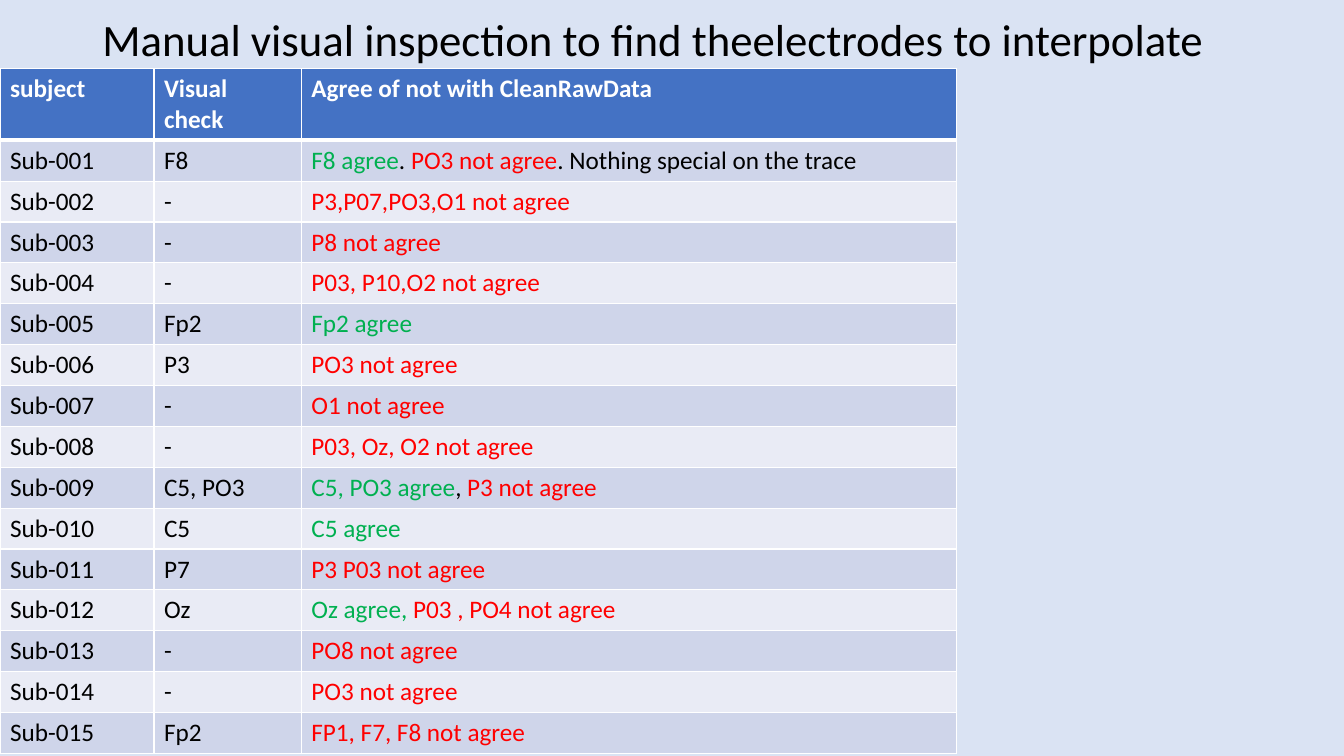
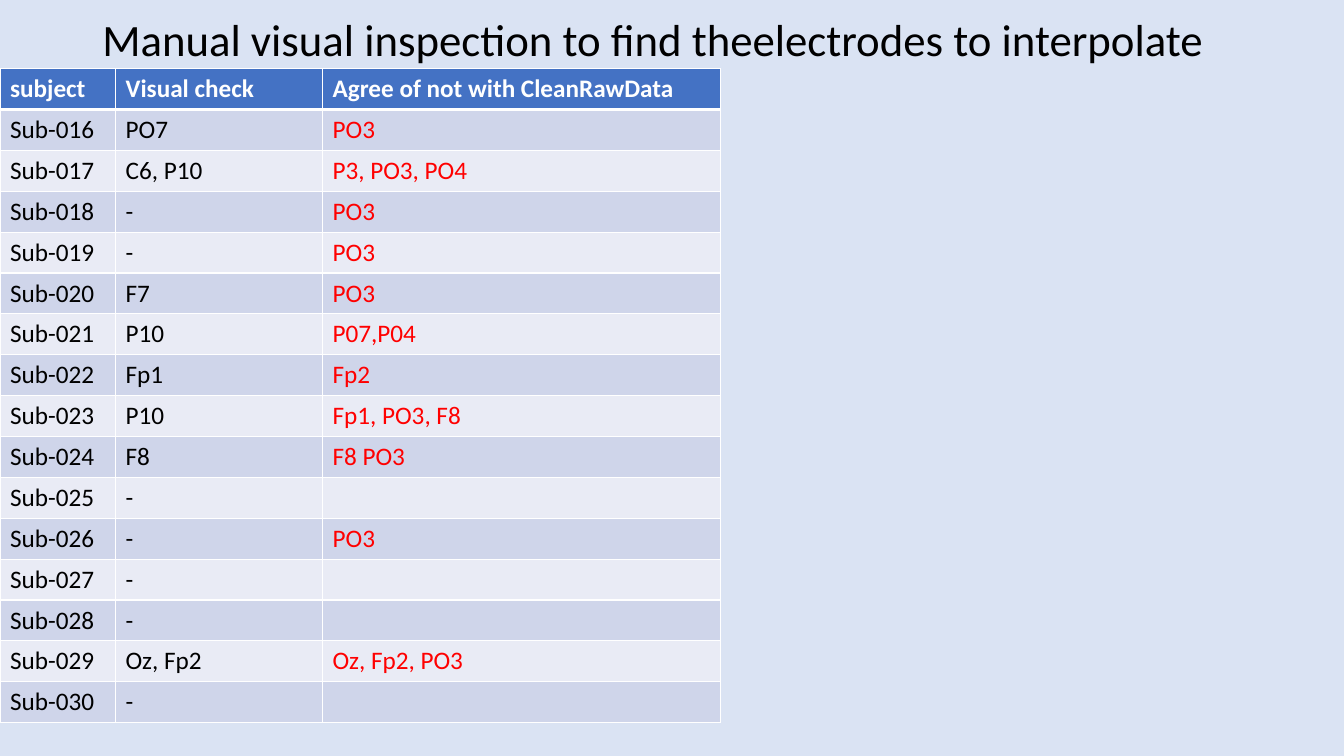
from typing import NamedTuple

from lxml import etree
from pptx import Presentation
from pptx.dml.color import RGBColor
from pptx.enum import text
from pptx.oxml import ns
from pptx.util import Pt

COLORS = {
    "background": "DAE3F3",
    "header": "4472C4",
    "odd_row": "CFD5EA",
    "even_row": "E9EBF5",
    "white": "FFFFFF",
    "plain": "000000",
    "agree": "00B050",
    "differ": "FF0000",
}
FONT = "Calibri"
TITLE = "Manual visual inspection to find theelectrodes to interpolate"
HEADINGS = ("subject", "Visual check", "Agree of not with CleanRawData")
TABLE_TOP = 49
ROW_HEIGHT = 29.2


class Fragment(NamedTuple):
    text: str
    color: str = "plain"


class Check(NamedTuple):
    electrodes: str
    remarks: tuple[Fragment, ...] = ()


class Inspection(NamedTuple):
    first_subject: int
    column_widths: tuple[float, ...]
    header_height: float
    checks: tuple[Check, ...]


def agree(remark: str) -> Fragment:
    return Fragment(remark, "agree")


def differ(remark: str) -> Fragment:
    return Fragment(remark, "differ")


def differing(electrodes: str, remark: str) -> Check:
    """A check whose whole remark is a disagreement."""
    return Check(electrodes, (differ(remark),))


INSPECTIONS = (
    Inspection(1, (110, 105.3, 468), 51, (
        Check("F8", (agree("F8 agree"), Fragment(". "), differ("PO3 not agree"),
                     Fragment(". Nothing special on the trace"))),
        differing("-", "P3,P07,PO3,O1 not agree"),
        differing("-", "P8 not agree"),
        differing("-", "P03, P10,O2 not agree"),
        Check("Fp2", (agree("Fp2 agree"),)),
        differing("P3", "PO3 not agree"),
        differing("-", "O1 not agree"),
        differing("-", "P03, Oz, O2 not agree"),
        Check("C5, PO3", (agree("C5, PO3 agree"), Fragment(", "), differ("P3 not agree"))),
        Check("C5", (agree("C5 agree"),)),
        differing("P7", "P3 P03 not agree"),
        Check("Oz", (agree("Oz agree, "), differ("P03 , PO4 not agree"))),
        differing("-", "PO8 not agree"),
        differing("-", "PO3 not agree"),
        differing("Fp2", "FP1, F7, F8 not agree"),
    )),
    Inspection(16, (82.6, 147.8, 284.4), ROW_HEIGHT, (
        differing("PO7", "PO3"),
        differing("C6, P10", "P3, PO3, PO4"),
        differing("-", "PO3"),
        differing("-", "PO3"),
        differing("F7", "PO3"),
        differing("P10", "P07,P04"),
        differing("Fp1", "Fp2"),
        differing("P10", "Fp1, PO3, F8"),
        differing("F8", "F8 PO3"),
        Check("-"),
        differing("-", "PO3"),
        Check("-"),
        Check("-"),
        differing("Oz, Fp2", "Oz, Fp2, PO3"),
        Check("-"),
    )),
)


def rgb(name: str) -> RGBColor:
    return RGBColor.from_string(COLORS[name])


def set_borders(cell, top: float, bottom: float) -> None:
    properties = cell._tc.get_or_add_tcPr()
    for side, width in (("L", 1), ("R", 1), ("T", top), ("B", bottom)):
        line = etree.SubElement(properties, ns.qn(f"a:ln{side}"), w=str(Pt(width)))
        fill = etree.SubElement(line, ns.qn("a:solidFill"))
        etree.SubElement(fill, ns.qn("a:srgbClr"), val=COLORS["white"])


def write_cell(cell, fragments: tuple[Fragment, ...], bold: bool) -> None:
    paragraph = cell.text_frame.paragraphs[0]
    paragraph.font.name = FONT
    paragraph.font.size = Pt(18)
    paragraph.font.bold = bold
    for fragment in fragments:
        run = paragraph.add_run()
        run.text = fragment.text
        run.font.color.rgb = rgb(fragment.color)


def add_title(slide) -> None:
    frame = slide.shapes.add_textbox(Pt(66), Pt(11), Pt(880.6), Pt(38)).text_frame
    frame.word_wrap = True
    frame.vertical_anchor = text.MSO_ANCHOR.MIDDLE
    paragraph = frame.paragraphs[0]
    paragraph.text = TITLE
    paragraph.line_spacing = 0.9
    paragraph.font.name = FONT
    paragraph.font.size = Pt(32)
    paragraph.font.color.rgb = rgb("plain")


def add_inspection_table(slide, inspection: Inspection) -> None:
    rows = [tuple((Fragment(heading, "white"),) for heading in HEADINGS)]
    for number, check in enumerate(inspection.checks, inspection.first_subject):
        rows.append(((Fragment(f"Sub-{number:03}"),), (Fragment(check.electrodes),), check.remarks))

    height = inspection.header_height + ROW_HEIGHT * len(inspection.checks)
    table = slide.shapes.add_table(
        len(rows), len(HEADINGS), Pt(0), Pt(TABLE_TOP),
        Pt(sum(inspection.column_widths)), Pt(height)).table
    for column, width in zip(table.columns, inspection.column_widths):
        column.width = Pt(width)

    for index, contents in enumerate(rows):
        is_header = index == 0
        table.rows[index].height = Pt(inspection.header_height if is_header else ROW_HEIGHT)
        fill = "header" if is_header else "odd_row" if index % 2 else "even_row"
        for column, fragments in enumerate(contents):
            cell = table.cell(index, column)
            set_borders(cell, top=3 if index == 1 else 1, bottom=3 if is_header else 1)
            cell.fill.solid()
            cell.fill.fore_color.rgb = rgb(fill)
            write_cell(cell, fragments, bold=is_header)


def main() -> None:
    deck = Presentation()
    deck.slide_width, deck.slide_height = Pt(960), Pt(540)
    background = deck.slide_master.background.fill
    background.solid()
    background.fore_color.rgb = rgb("background")
    for inspection in INSPECTIONS:
        slide = deck.slides.add_slide(deck.slide_layouts[6])
        add_inspection_table(slide, inspection)
        add_title(slide)
    deck.save("out.pptx")


if __name__ == "__main__":
    main()
